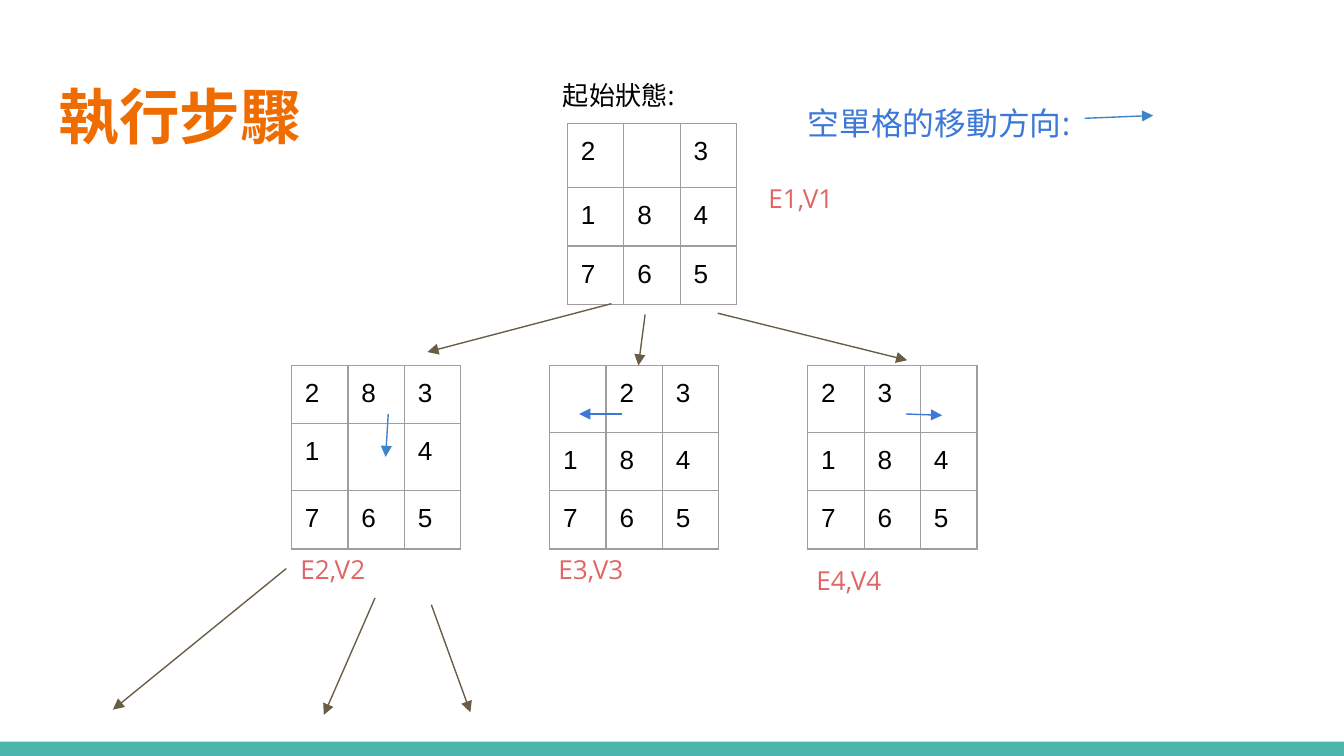
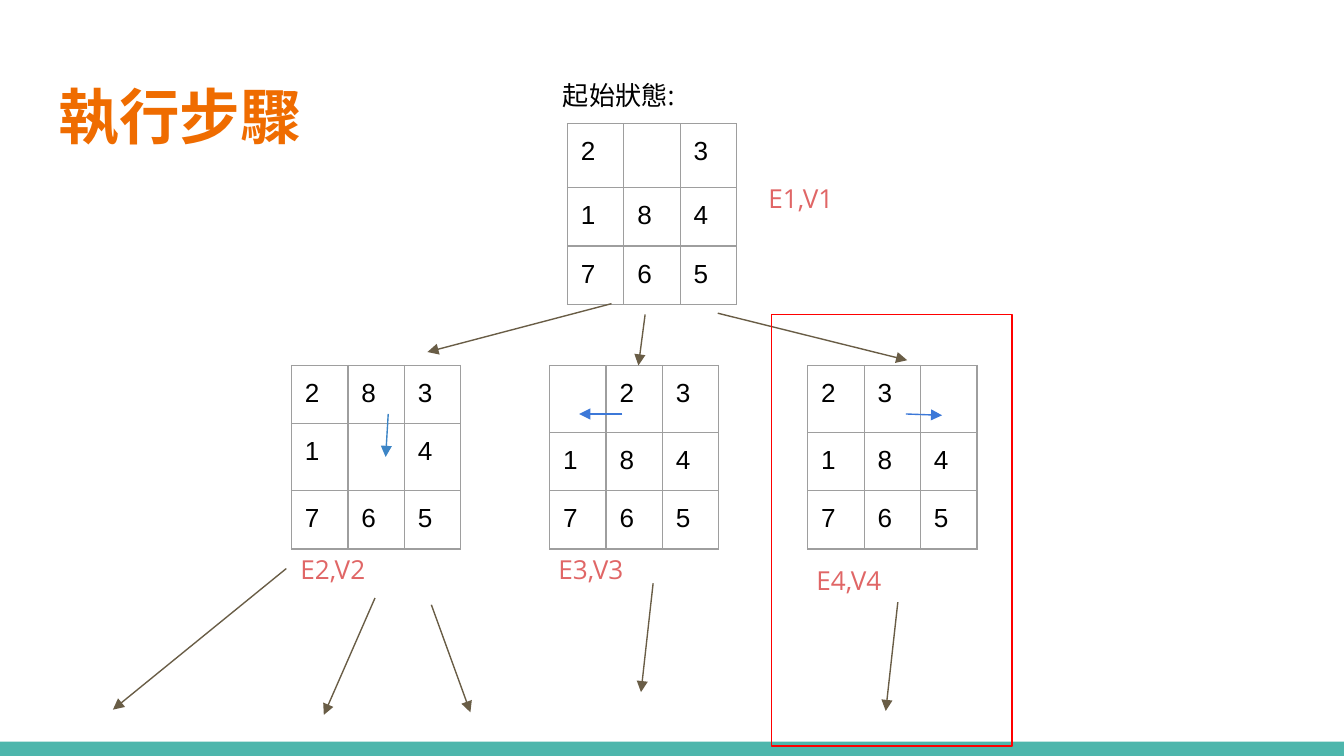
from lxml import etree
from pptx import Presentation
from pptx.dml.color import RGBColor
from pptx.enum import shapes, text
from pptx.oxml import ns
from pptx.util import Pt

# Shared look
ORANGE, TEAL, BLACK, GREY = "EF6C00", "4DB6AC", "000000", "9E9E9E"
BROWN, BLUE, SKY, ROSE, RED = "695D46", "3C78D8", "3D85C6", "E06666", "FF0000"
INSET = Pt(7.2)
CELL_W, ROW_H, GAP_ROW_H = 30.24, 31.1, 35.9
CHILD_X, CHILD_STEP, CHILD_Y = 156.2, 138.25, 195.8

# Boards reached from the start state, left to right, with their label tops
CHILDREN = [
    (["283", "1 4", "765"], "E2,V2", 289.4),
    ([" 23", "184", "765"], "E3,V3", 289.4),
    (["23 ", "184", "765"], "E4,V4", 295.2),
]

# Arrows as (from x, from y, to x, to y)
BRANCHES = [
    (327.6, 162.7, 229, 188.6),
    (345.6, 168.5, 342, 195.8),
    (384.5, 167.8, 486, 193),
    (153.4, 304.6, 60.5, 380.2),
    (200.9, 320.4, 173.5, 383),
    (231.1, 324, 252, 381.6),
]
MOVES = [
    ((208, 221.8, 206.6, 244.8), SKY),
    ((333.4, 221.8, 310.3, 221.8), BLUE),
    ((485.3, 221.8, 504.7, 222.5), BLUE),
]
NEXT_BRANCHES = [
    (349.9, 312.5, 343.4, 370.8),
    (481, 322.6, 474.5, 380.9),
]


def rgb(value):
    return RGBColor.from_string(value)


def style(p, size, face, color, bold=False):
    f = p.font
    f.size, f.name, f.bold = Pt(size), face, bold
    f.color.rgb = rgb(color)


def add_label(s, x, y, w, h, words, size=14, color=BLACK,
              face="Open Sans", bold=False):
    tf = s.shapes.add_textbox(Pt(x), Pt(y), Pt(w), Pt(h)).text_frame
    tf.word_wrap = True
    tf.vertical_anchor = text.MSO_ANCHOR.TOP
    tf.margin_left = tf.margin_right = INSET
    tf.margin_top = tf.margin_bottom = INSET
    p = tf.paragraphs[0]
    p.text = words
    style(p, size, face, color, bold)
    return p


def add_rect(s, x, y, w, h, fill=None, line=None):
    sp = s.shapes.add_shape(shapes.MSO_SHAPE.RECTANGLE,
                            Pt(x), Pt(y), Pt(w), Pt(h))
    sp.shadow.inherit = False
    if fill:
        sp.fill.solid()
        sp.fill.fore_color.rgb = rgb(fill)
    else:
        sp.fill.background()
    if line:
        sp.line.color.rgb = rgb(line)
        sp.line.width = Pt(0.75)
    else:
        sp.line.fill.background()


def add_arrow(s, ends, color=BROWN):
    c = s.shapes.add_connector(shapes.MSO_CONNECTOR.STRAIGHT,
                               *[Pt(v) for v in ends])
    c.line.color.rgb = rgb(color)
    c.line.width = Pt(0.75)
    ln = c.line._get_or_add_ln()
    etree.SubElement(ln, ns.qn("a:tailEnd"), type="triangle")
    etree.SubElement(c._element.spPr, ns.qn("a:effectLst"))


def add_borders(cell):
    tc_pr = cell._tc.get_or_add_tcPr()
    for i, edge in enumerate(("a:lnL", "a:lnR", "a:lnT", "a:lnB")):
        ln = etree.Element(ns.qn(edge), w=str(Pt(0.75)))
        fill = etree.SubElement(ln, ns.qn("a:solidFill"))
        etree.SubElement(fill, ns.qn("a:srgbClr"), val=GREY)
        tc_pr.insert(i, ln)


def add_board(s, x, y, rows, row_h=ROW_H, gap_row_h=GAP_ROW_H):
    """Draw a 3 x 3 puzzle; the row with the empty square is taller."""
    heights = [gap_row_h if " " in row else row_h for row in rows]
    table = s.shapes.add_table(3, 3, Pt(x), Pt(y), Pt(3 * CELL_W),
                               Pt(sum(heights))).table
    table.first_row = table.horz_banding = False
    for col in table.columns:
        col.width = Pt(CELL_W)
    for i, row in enumerate(rows):
        table.rows[i].height = Pt(heights[i])
        for j, digit in enumerate(row):
            cell = table.cell(i, j)
            cell.margin_left = cell.margin_right = INSET
            cell.margin_top = cell.margin_bottom = INSET
            cell.fill.background()
            add_borders(cell)
            p = cell.text_frame.paragraphs[0]
            p.text = digit.strip()
            style(p, 14, "Arial", BLACK)


def add_tree_slide(prs, title_w):
    s = prs.slides.add_slide(prs.slide_layouts[6])
    add_rect(s, 0, 397.4, 720, 7.6, fill=TEAL)
    add_label(s, 24.5, 35.3, title_w, 55.4, "執行步驟", 32.4, ORANGE,
              "Arial Narrow", True)
    # Start state
    add_board(s, 304, 66.3, ["2 3", "184", "765"], 30.2, 34.3)
    add_label(s, 294.5, 35.3, 131.8, 31.7, "起始狀態:")
    add_label(s, 404.6, 90.7, 95, 31.7, "E1,V1", color=ROSE)
    # Next states
    for i, (rows, name, label_y) in enumerate(CHILDREN):
        x = CHILD_X + i * CHILD_STEP
        add_board(s, x, CHILD_Y, rows)
        add_label(s, x - 2.4, label_y, 95, 31.7, name, color=ROSE)
    for ends in BRANCHES:
        add_arrow(s, ends)
    for ends, color in MOVES:
        add_arrow(s, ends, color)
    return s


def main():
    prs = Presentation()
    prs.slide_width, prs.slide_height = Pt(720), Pt(405)

    # Slide 1: tree with the legend for moves
    s = add_tree_slide(prs, 224)
    add_arrow(s, (581, 63.4, 617.8, 61.9), SKY)
    p = add_label(s, 425.5, 45.4, 166.3, 35.3, "空單格的移動方向:", 17, BLUE)
    p.line_spacing = 1.15

    # Slide 2: chosen branch framed, tree continued
    s = add_tree_slide(prs, 671)
    add_rect(s, 413.3, 168.5, 128.9, 231.1, line=RED)
    for ends in NEXT_BRANCHES:
        add_arrow(s, ends)

    prs.save("out.pptx")


if __name__ == "__main__":
    main()
